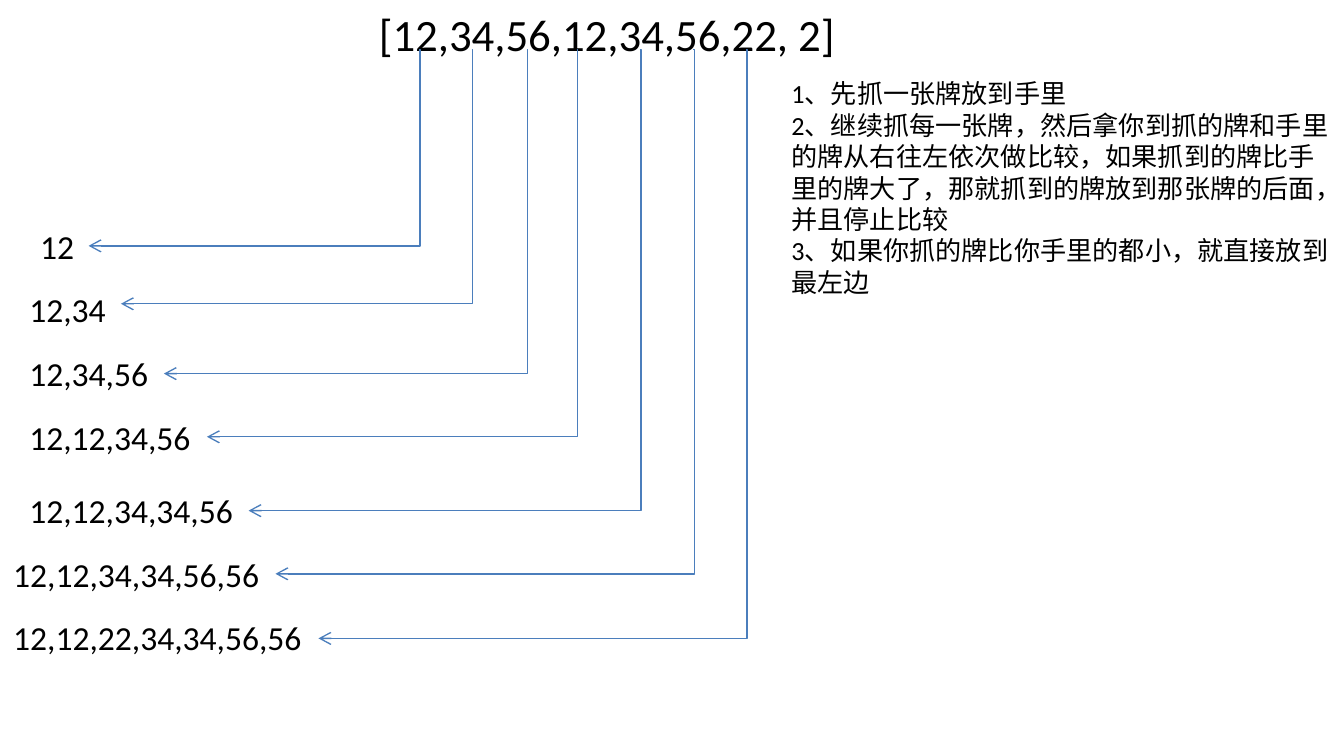
from lxml.etree import SubElement
from pptx import Presentation
from pptx.dml.color import RGBColor
from pptx.enum.shapes import MSO_CONNECTOR
from pptx.enum.text import MSO_AUTO_SIZE
from pptx.oxml.ns import qn
from pptx.util import Inches, Pt

COLORS = {"text": "000000", "arrow": "4B7EBC"}
FONT = "Calibri"
WIDTH = 10
HEIGHT = WIDTH * 9 / 16
CARD_TOP = 0.37
ROW_HEIGHT = 0.4

CARDS = "[12,34,56,12,34,56,22, 2]"
RULES = [
    "1、先抓一张牌放到手里",
    "2、继续抓每一张牌，然后拿你到抓的牌和手里的牌从右往左依次做比较，"
    "如果抓到的牌比手里的牌大了，那就抓到的牌放到那张牌的后面，并且停止比较",
    "3、如果你抓的牌比你手里的都小，就直接放到最左边",
]
# Cards in hand, left, top, width, x of the drawn card, y of the arrow
HANDS = [
    ("12", 0.2, 1.63, 0.46, 3.12, 1.83),
    ("12,34", 0.12, 2.1, 0.78, 3.51, 2.26),
    ("12,34,56", 0.12, 2.58, 1.1, 3.92, 2.78),
    ("12,12,34,56", 0.12, 3.05, 1.42, 4.29, 3.25),
    ("12,12,34,34,56", 0.12, 3.6, 1.73, 4.76, 3.8),
    ("12,12,34,34,56,56", 0, 4.07, 2.05, 5.16, 4.27),
    ("12,12,22,34,34,56,56", 0, 4.54, 2.37, 5.55, 4.75),
]


def add_text(page, box, lines, size, wrap=False):
    frame = page.shapes.add_textbox(*map(Inches, box)).text_frame
    frame.word_wrap = wrap
    frame.auto_size = MSO_AUTO_SIZE.SHAPE_TO_FIT_TEXT
    for index, line in enumerate(lines):
        para = frame.add_paragraph() if index else frame.paragraphs[0]
        span = para.add_run()
        span.text = line
        span.font.size = Pt(size)
        span.font.name = FONT
        span.font.color.rgb = RGBColor.from_string(COLORS["text"])


def add_elbow_arrow(page, start, end):
    """Runs straight down from start, then left to end."""
    arrow = page.shapes.add_connector(
        MSO_CONNECTOR.ELBOW, *map(Inches, (*start, *end)))
    arrow.line.color.rgb = RGBColor.from_string(COLORS["arrow"])
    arrow.line.width = Pt(0.75)
    properties = arrow.element.spPr
    # Bend at the start, open arrowhead, no shadow
    guides = properties.find(qn("a:prstGeom")).get_or_add_avLst()
    SubElement(guides, qn("a:gd"), name="adj1", fmla="val -300")
    SubElement(properties.find(qn("a:ln")), qn("a:tailEnd"), type="arrow")
    SubElement(properties, qn("a:effectLst"))


def add_hand(page, box, cards, card_x, arrow_y):
    left, top, width, height = box
    add_text(page, box, [cards], 18)
    add_elbow_arrow(page, (card_x, CARD_TOP), (left + width, arrow_y))


def build_sorting_page(page):
    # Cards to draw and the rules for playing them
    add_text(page, (2.72, 0, 3.62, 0.81), [CARDS], 24)
    add_text(page, (5.79, 0.53, 4.21, 1.75), RULES, 14, wrap=True)
    # Hand after each draw
    for cards, left, top, width, card_x, arrow_y in HANDS:
        add_hand(page, (left, top, width, ROW_HEIGHT), cards, card_x, arrow_y)


deck = Presentation()
deck.slide_width, deck.slide_height = Inches(WIDTH), Inches(HEIGHT)
build_sorting_page(deck.slides.add_slide(deck.slide_layouts[6]))
deck.save("out.pptx")
